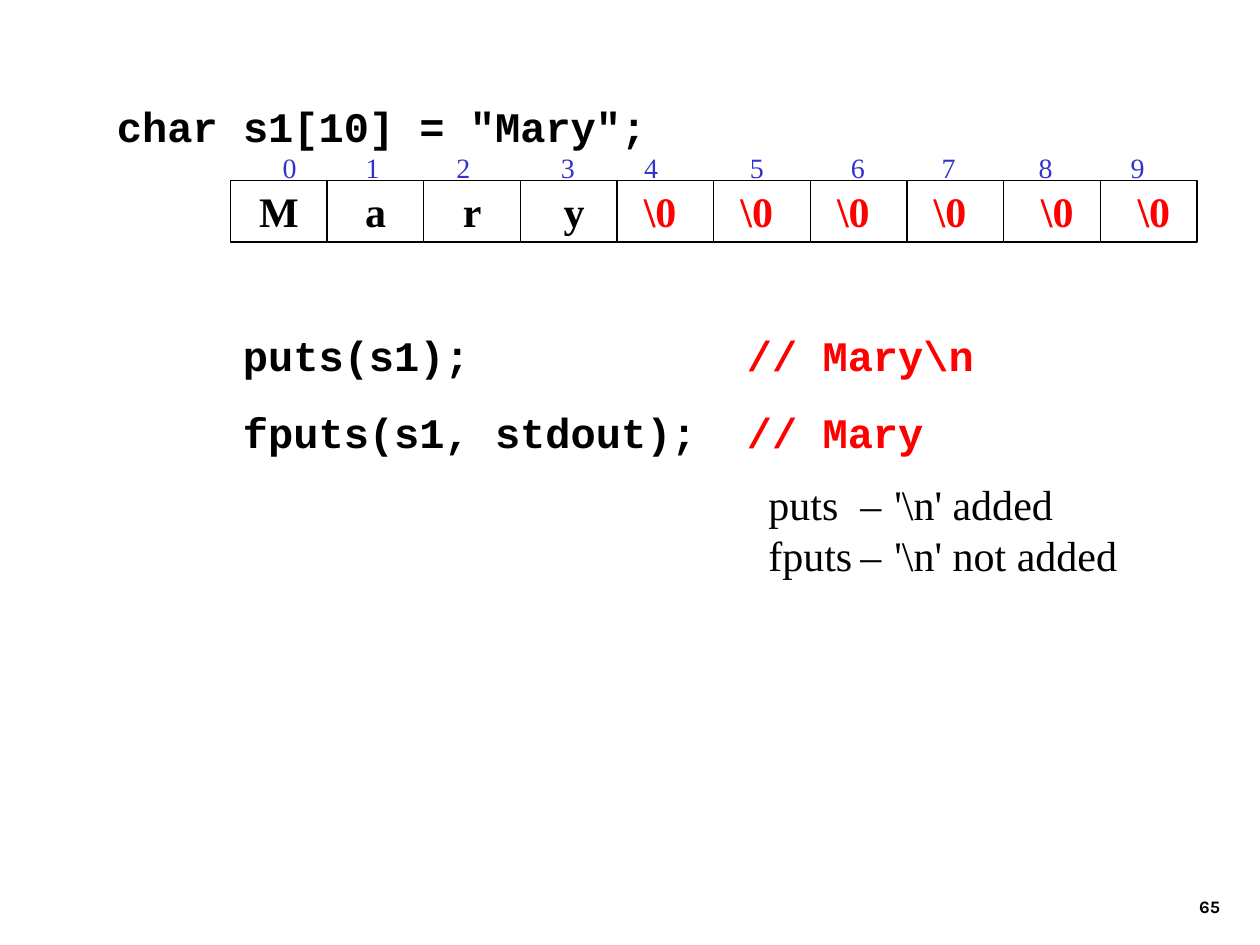
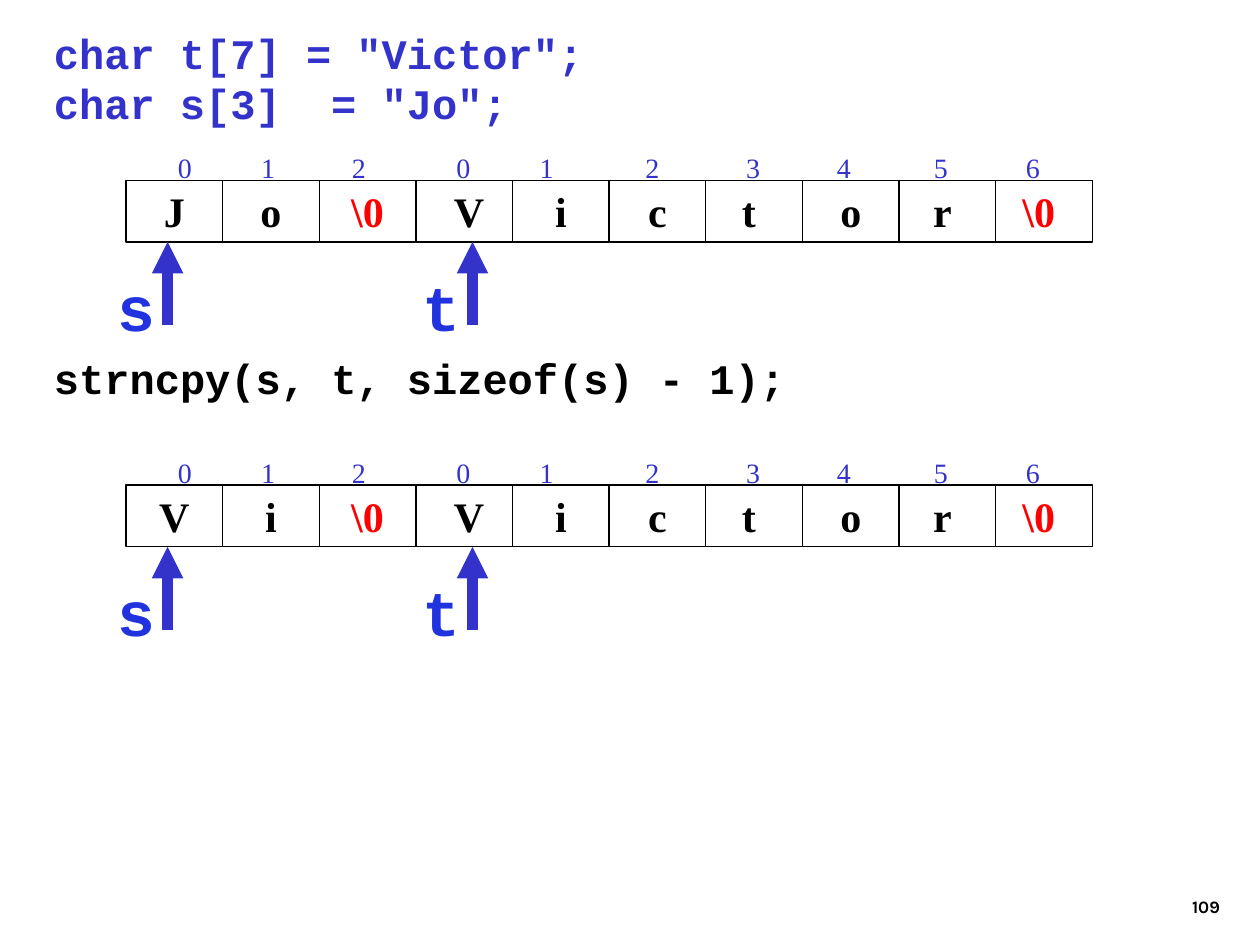
from dataclasses import dataclass

from lxml import etree
from pptx import Presentation
from pptx import util as u
from pptx.dml.color import RGBColor
from pptx.enum import shapes, text
from pptx.oxml import ns


@dataclass(frozen=True)
class Theme:
    black: RGBColor = RGBColor.from_string("000000")
    red: RGBColor = RGBColor.from_string("FF0000")
    blue: RGBColor = RGBColor.from_string("3333CC")
    pointer_blue: RGBColor = RGBColor.from_string("2133DF")
    code: str = "Courier New"
    serif: str = "Times New Roman"
    footer: str = "Karla"
    body_size: int = 24
    index_size: int = 16
    pointer_size: int = 36
    footer_size: int = 10


theme = Theme()
LEFT, CENTER, RIGHT = text.PP_ALIGN.LEFT, text.PP_ALIGN.CENTER, text.PP_ALIGN.RIGHT
TOP, MIDDLE, BOTTOM = text.MSO_ANCHOR.TOP, text.MSO_ANCHOR.MIDDLE, text.MSO_ANCHOR.BOTTOM

CELL_WIDTH, CELL_HEIGHT = 7.67 / 10, 0.49
INDEX_STOPS = [0.37, 1.03, 1.75, 2.58, 3.24, 4.08, 4.88, 5.6, 6.37, 7.1]


def write(box, lines, font=theme.code, size=theme.body_size, color=theme.black, bold=True,
          align=LEFT, anchor=TOP, wrap=True, tabs=(), tab_kind="l", gap=0):
    """Fill a box with one paragraph per line, all in the same style."""
    frame = box.text_frame
    frame.word_wrap = wrap
    frame.vertical_anchor = anchor
    for number, line in enumerate(lines):
        para = frame.add_paragraph() if number else frame.paragraphs[0]
        para.alignment = align
        para.space_before = u.Pt(gap if number else 0)
        if tabs:
            tab_list = etree.SubElement(para._p.get_or_add_pPr(), ns.qn("a:tabLst"))
            for stop in tabs:
                etree.SubElement(tab_list, ns.qn("a:tab"), pos=str(u.Inches(stop)), algn=tab_kind)
        para.font.name = font
        para.font.size = u.Pt(size)
        para.font.bold = bold
        para.font.color.rgb = color
        para.add_run().text = line
    return frame.paragraphs


def text_box(page, left, top, width, height, lines, **style):
    box = page.shapes.add_textbox(*map(u.Inches, (left, top, width, height)))
    return write(box, lines, **style)


deck = Presentation()
deck.slide_width, deck.slide_height = u.Inches(10), u.Inches(7.5)
puts_page, strncpy_page = [deck.slides.add_slide(deck.slide_layouts[6]) for _ in range(2)]

# Page numbers
for page, number in ((puts_page, "65"), (strncpy_page, "109")):
    text_box(page, 7.7, 6.83, 2.08, 0.5, [number], font=theme.footer,
             size=theme.footer_size, align=RIGHT, anchor=BOTTOM)

# Character arrays: page, left, top, indexes, cells, pointers by cell edge
victor = [" V", "i", "c", "t ", "o", "r ", r"\0 "]
pointers = {"s": 0.33, "t": 2.75}
arrays = [
    (puts_page, 1.83, 1.43, "0123456789",
     ["M", "a", "r", " y"] + [r"\0 "] * 4 + [r" \0"] * 2, {}),
    (strncpy_page, 1, 1.43, "0120123456", ["J", "o", r"\0"] + victor, pointers),
    (strncpy_page, 1, 3.85, "0120123456", ["V", "i", r"\0"] + victor, pointers),
]
for page, left, top, indexes, cells, marks in arrays:
    # Indexes above the cells
    text_box(page, left, top - 0.35, 7.67, 0.49, ["\t" + "\t".join(indexes)],
             font=theme.serif, size=theme.index_size, color=theme.blue, bold=False,
             anchor=MIDDLE, tabs=INDEX_STOPS, tab_kind="ctr")

    # Cells, terminators in red
    for column, character in enumerate(cells):
        cell = page.shapes.add_shape(
            shapes.MSO_SHAPE.RECTANGLE, u.Inches(left + column * CELL_WIDTH), u.Inches(top),
            u.Inches(CELL_WIDTH), u.Inches(CELL_HEIGHT))
        cell.shadow.inherit = False
        cell.fill.background()
        cell.line.color.rgb = theme.black
        cell.line.width = u.Pt(0.75)
        write(cell, [character], font=theme.serif,
              color=theme.red if r"\0" in character else theme.black,
              align=CENTER, anchor=MIDDLE, wrap=False)

    # Pointers below the cells
    for name, offset in marks.items():
        x = left + offset
        text_box(page, x - 0.5, top + 0.65, 0.5, 0.7, [name], size=theme.pointer_size,
                 color=theme.pointer_blue, align=RIGHT, wrap=False)
        arrow = page.shapes.add_connector(
            shapes.MSO_CONNECTOR.STRAIGHT, u.Inches(x), u.Inches(top + 1.15),
            u.Inches(x), u.Inches(top + CELL_HEIGHT))
        arrow.line.color.rgb = theme.blue
        arrow.line.width = u.Pt(6)
        etree.SubElement(arrow.line._get_or_add_ln(), ns.qn("a:tailEnd"), type="triangle")
        etree.SubElement(arrow._element.spPr, ns.qn("a:effectLst"))

# Puts and fputs: declaration, calls with their output, notes
text_box(puts_page, 0.83, 0.75, 7.92, 0.5, ['char s1[10] = "Mary";'])
calls = text_box(puts_page, 1.83, 2.57, 7, 1.1,
                 ["puts(s1);\t", "fputs(s1, stdout);\t"], tabs=[4], gap=15)
for para, output in zip(calls, (r"// Mary\n", "// Mary")):
    span = para.add_run()
    span.text = output
    span.font.color.rgb = theme.red
text_box(puts_page, 6, 3.75, 2.97, 0.9,
         ["puts\t–\t'\\n' added", "fputs\t–\t'\\n' not added"],
         font=theme.serif, bold=False, tabs=[0.73, 1])

# Strncpy: declarations and call
text_box(strncpy_page, 0.33, 0.17, 4.67, 0.9,
         ['char t[7] = "Victor";', 'char s[3]  = "Jo";'], color=theme.blue)
text_box(strncpy_page, 0.33, 2.75, 7.42, 0.5, ["strncpy(s, t, sizeof(s) - 1);"])

deck.save("out.pptx")
